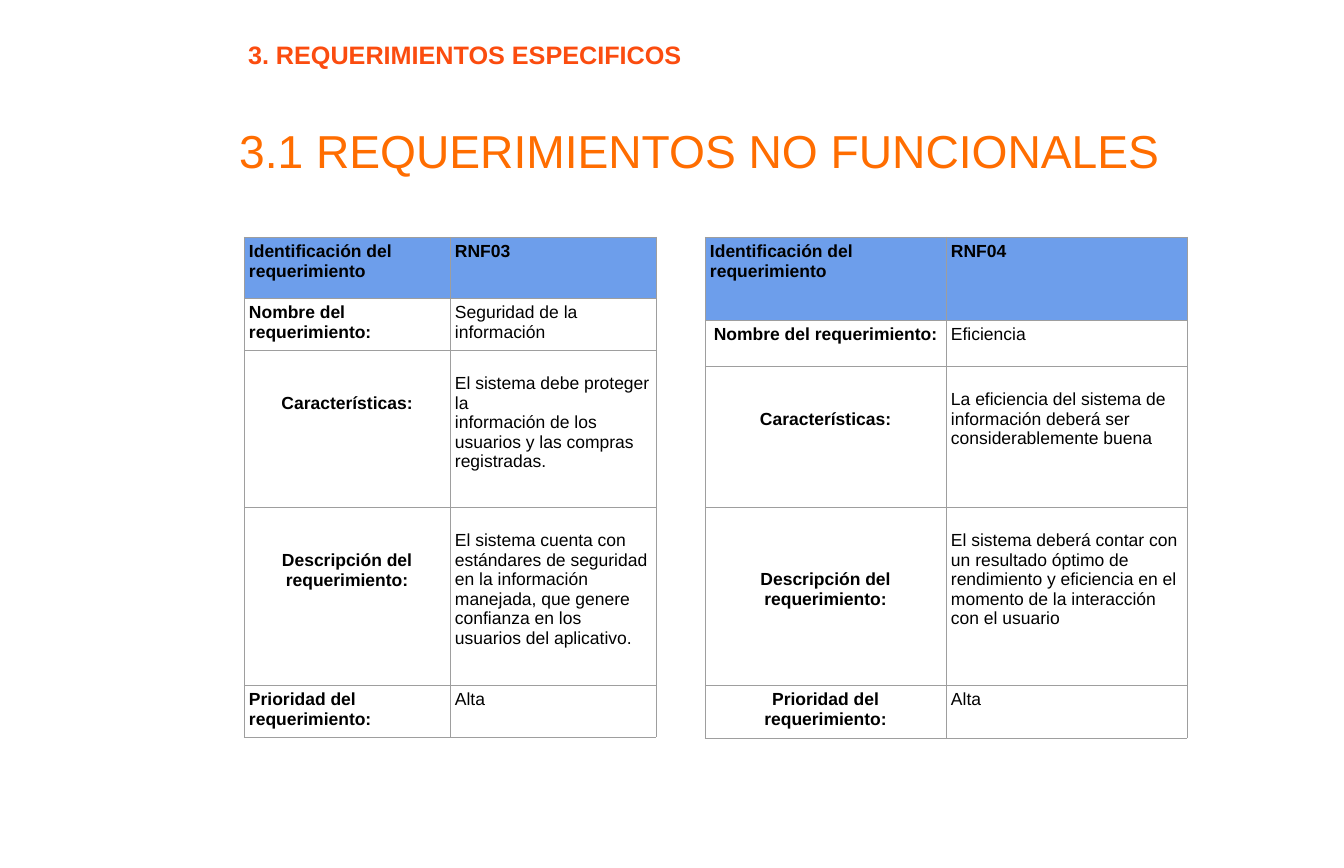
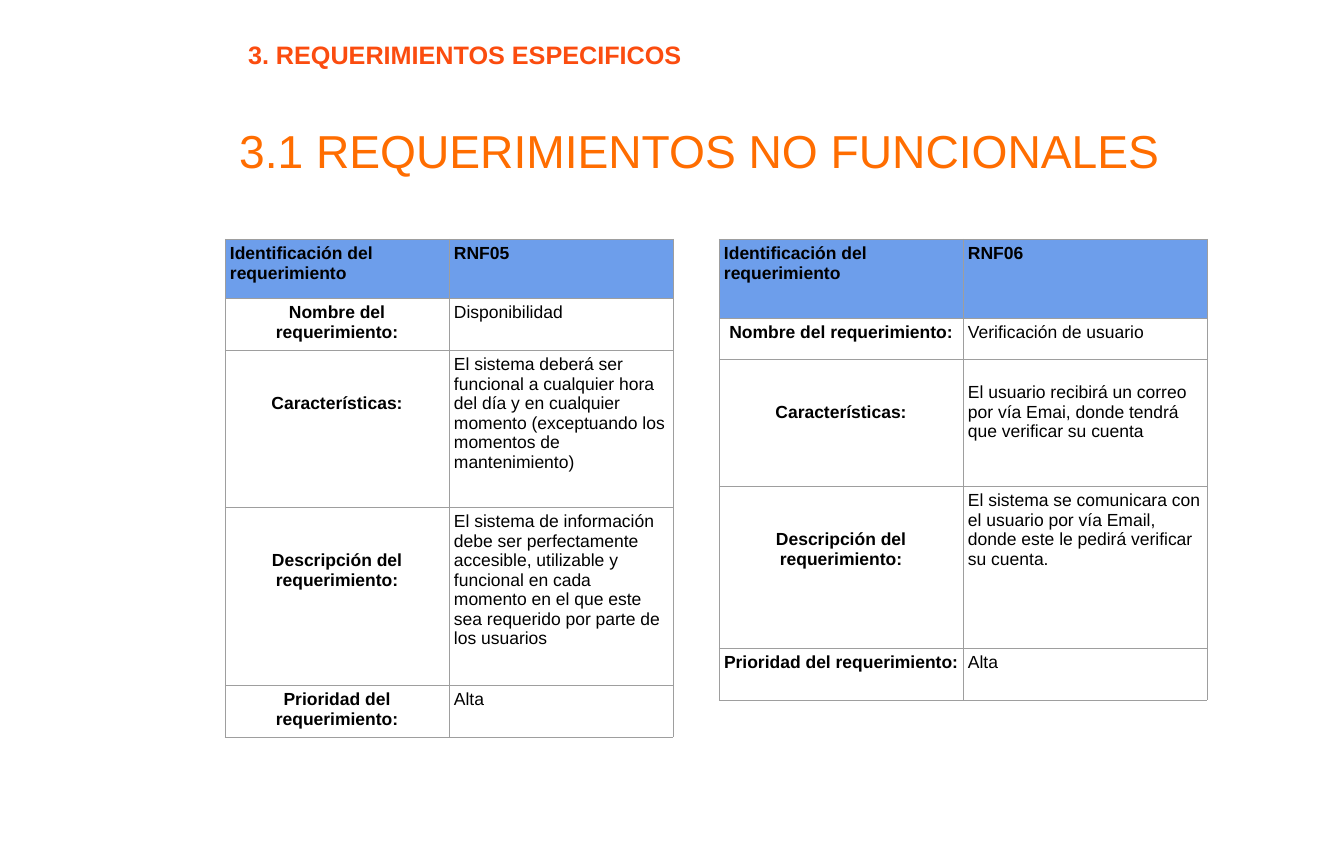
"""Builds two slides of non-functional requirement tables."""
from dataclasses import dataclass

from lxml.etree import SubElement
from pptx import Presentation
from pptx.dml.color import RGBColor as RGB
from pptx.enum.text import MSO_ANCHOR as ANCHOR, PP_ALIGN as ALIGN
from pptx.oxml.ns import qn
from pptx.util import Emu, Pt


@dataclass(frozen=True)
class Theme:
    """Colours, type sizes and insets."""
    font: str = "Arial"
    section: str = "FB4C0F"
    title: str = "FF6D00"
    head: str = "6D9EEB"
    border: str = "9E9E9E"
    text: str = "000000"
    section_pt: int = 36
    title_pt: int = 66
    body_pt: int = 25
    border_pt: float = 0.75
    box_pad: int = 4
    cell_pad: int = 5
    line_gaps: tuple = (0, 19, 39, 58)


@dataclass(frozen=True)
class Req:
    """One requirement: its box, row heights, values and label layout."""
    box: tuple
    rows: tuple
    values: tuple
    value_gaps: tuple = (0, 0, 0, 0, 0)
    label_gaps: tuple = (0, 0, 2, 2, 0)
    centred: tuple = (1, 2, 3, 4)


T = Theme()
SIZE = (1344, 868)
SECTION_BOX = (244, 35, 461, 38)
TITLE_BOX = (193, 118, 1013, 64)
LABELS = ("Identificación del requerimiento", "Nombre del requerimiento:", "Características:",
          "Descripción del requerimiento:", "Prioridad del requerimiento:")
SLIDES = (
    (Req((244, 237, 412), (61, 52, 157, 178, 52),
         ("RNF03", "Seguridad de la información",
          "El sistema debe proteger la\ninformación de los usuarios y las compras registradas.",
          "El sistema cuenta con estándares de seguridad en la información manejada, "
          "que genere confianza en los usuarios del aplicativo.", "Alta"),
         value_gaps=(0, 0, 1, 1, 0), centred=(2, 3)),
     Req((705, 237, 482), (83, 46, 141, 178, 53),
         ("RNF04", "Eficiencia",
          "La eficiencia del sistema de\ninformación deberá ser\nconsiderablemente buena",
          "El sistema deberá contar con un resultado óptimo de rendimiento y eficiencia "
          "en el momento de la interacción con el usuario", "Alta"),
         value_gaps=(0, 0, 1, 1, 0), label_gaps=(0, 0, 2, 3, 0))),
    (Req((225, 239, 448), (59, 52, 157, 178, 52),
         ("RNF05", "Disponibilidad",
          "El sistema deberá ser funcional a cualquier hora del día y en cualquier momento "
          "(exceptuando los momentos de mantenimiento)",
          "El sistema de información debe ser perfectamente accesible, utilizable y funcional "
          "en cada momento en el que este sea requerido por parte de los usuarios", "Alta")),
     Req((719, 239, 488), (79, 41, 127, 162, 52),
         ("RNF06", "Verificación de usuario",
          "El usuario recibirá un correo por vía Emai, donde tendrá que verificar su cuenta",
          "El sistema se comunicara con el usuario por vía Email, donde este le pedirá "
          "verificar su cuenta.", "Alta"),
         value_gaps=(0, 0, 1, 0, 0))),
)


def px(n):
    """Turns px into EMU at 50.4 px to the inch."""
    return Emu(round(n * 914400 / 50.4))


def write(tf, text, size, color, bold=False, align=ALIGN.LEFT):
    """Fills a text frame, one paragraph to a line, in one style."""
    tf.text = text
    tf.word_wrap = True
    for p in tf.paragraphs:
        p.alignment = align
        p.font.name, p.font.size, p.font.bold = T.font, Pt(size), bold
        p.font.color.rgb = RGB.from_string(color)


def add_heading(s, box, text, size, color, **style):
    """Places a vertically centred line of heading text."""
    tf = s.shapes.add_textbox(*map(px, box)).text_frame
    tf.margin_left = tf.margin_right = tf.margin_top = tf.margin_bottom = px(T.box_pad)
    tf.vertical_anchor = ANCHOR.MIDDLE
    write(tf, text, size, color, **style)


def add_borders(cell):
    """Draws the four thin cell borders."""
    tc_pr = cell._tc.get_or_add_tcPr()
    for side in ("lnL", "lnR", "lnT", "lnB"):
        ln = SubElement(tc_pr, qn(f"a:{side}"), w=str(Pt(T.border_pt)))
        SubElement(SubElement(ln, qn("a:solidFill")), qn("a:srgbClr"), val=T.border)


def fill_cell(cell, text, gap, head, bold, align):
    """Sets the text, insets, borders and fill of a cell."""
    cell.margin_left = cell.margin_right = cell.margin_bottom = px(T.cell_pad)
    cell.margin_top = px(T.cell_pad + T.line_gaps[gap])
    write(cell.text_frame, text, T.body_pt, T.text, bold, align)
    add_borders(cell)
    if head:
        cell.fill.solid()
        cell.fill.fore_color.rgb = RGB.from_string(T.head)
    else:
        cell.fill.background()


def add_requirement(s, req):
    """Places the table of one requirement, with two equal columns."""
    x, y, w = req.box
    frame = s.shapes.add_table(len(LABELS), 2, px(x), px(y), px(w), px(sum(req.rows)))
    table = frame.table
    table.first_row = table.horz_banding = False
    for col in table.columns:
        col.width = px(w / 2)
    for i, (label, value) in enumerate(zip(LABELS, req.values)):
        table.rows[i].height = px(req.rows[i])
        align = ALIGN.CENTER if i in req.centred else ALIGN.LEFT
        head = i == 0
        fill_cell(table.cell(i, 0), label, req.label_gaps[i], head, True, align)
        fill_cell(table.cell(i, 1), value, req.value_gaps[i], head, head, ALIGN.LEFT)


def add_requirements_slide(prs, reqs):
    """Adds a slide with both headings and its requirement tables."""
    s = prs.slides.add_slide(prs.slide_layouts[6])
    add_heading(s, TITLE_BOX, "3.1 REQUERIMIENTOS NO FUNCIONALES", T.title_pt, T.title,
                align=ALIGN.CENTER)
    add_heading(s, SECTION_BOX, "3. REQUERIMIENTOS ESPECIFICOS", T.section_pt, T.section,
                bold=True)
    for req in reqs:
        add_requirement(s, req)


def main():
    """Builds and saves the presentation."""
    prs = Presentation()
    prs.slide_width, prs.slide_height = map(px, SIZE)
    for reqs in SLIDES:
        add_requirements_slide(prs, reqs)
    prs.save("out.pptx")


if __name__ == "__main__":
    main()
